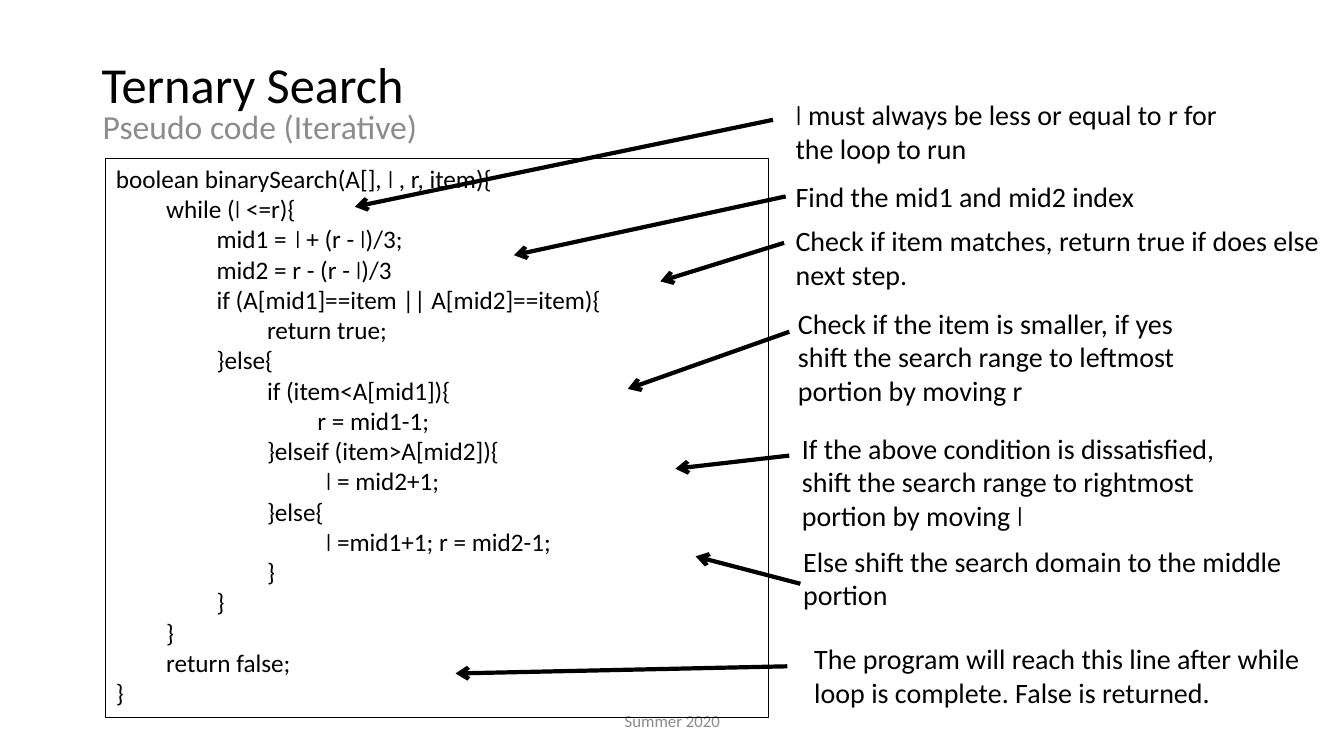
from dataclasses import dataclass

from lxml.etree import SubElement
from pptx import Presentation
from pptx.dml.color import RGBColor
from pptx.enum.shapes import MSO_CONNECTOR as Connector, MSO_SHAPE as Shape
from pptx.enum.text import MSO_ANCHOR as Anchor, MSO_AUTO_SIZE as AutoSize, PP_ALIGN as Align
from pptx.oxml.ns import qn
from pptx.util import Cm, Pt


@dataclass(frozen=True)
class Theme:
    ink: RGBColor = RGBColor(0x00, 0x00, 0x00)
    muted: RGBColor = RGBColor(0x8C, 0x8C, 0x8C)
    font: str = "Calibri"
    symbol_font: str = "Comic Neue"
    title: int = 36
    subtitle: int = 24
    note: int = 20
    code: int = 18
    footer: int = 12
    frame: float = 0.75
    arrow: float = 3


@dataclass(frozen=True)
class Box:
    """A region in centimetres."""
    left: float
    top: float
    width: float
    height: float

    def inner(self, dx, dy, width, height):
        return Box(self.left + dx, self.top + dy, width, height)

    def point(self, dx, dy):
        return Cm(self.left + dx), Cm(self.top + dy)

    def lengths(self):
        return [Cm(n) for n in (self.left, self.top, self.width, self.height)]


THEME = Theme()

# Text between backticks is set in the symbol font.
CODE = [
    (0, "boolean binarySearch(A[], `l` , r, item){"),
    (1, "while (`l` <=r){"),
    (2, "mid1 =` l` + (r - `l`)/3;"),
    (2, "mid2 = r - (r - `l`)/3"),
    (2, "if (A[mid1]==item || A[mid2]==item){"),
    (3, "return true;"),
    (2, "}else{"),
    (3, "if (item<A[mid1]){"),
    (4, "r = mid1-1;"),
    (3, "}elseif (item>A[mid2]){"),
    (4, "` l` = mid2+1;"),
    (3, "}else{"),
    (4, "` l` =mid1+1; r = mid2-1;"),
    (3, "}"),
    (2, "}"),
    (1, "}"),
    (1, "return false;"),
    (0, "}"),
]

# Paragraphs, wrapping, place, arrow start and arrow tip, from the column's corner.
NOTES = [
    (["`l` must always be less or equal to r for the loop to run"], True,
     (0, 0.04, 11.79, 1.96), (-0.32, 0.72), (-10.86, 2.91)),
    (["Find the mid1 and mid2 index"], True,
     (0, 2.09, 11.96, 1.12), (0, 2.65), (-6.85, 4.13)),
    (["Check if item matches, return true if does else next step."], True,
     (0, 3.21, 13.82, 1.96), (-0.04, 3.82), (-3.16, 4.79)),
    (["Check if the item is smaller, if yes shift the search range to leftmost "
      "portion by moving r"], True,
     (0.06, 5.29, 10.03, 2.82), (0.09, 6.06), (-3.98, 7.5)),
    (["If the above condition is dissatisfied, shift the search range to rightmost "
      "portion by moving `l`"], True,
     (0.16, 8.44, 12.12, 2.82), (0.09, 9.18), (-2.78, 9.51)),
    (["Else shift the search domain to the middle", "portion"], False,
     (0.19, 11.29, 12.7, 1.96), (0.37, 12.41), (-2.27, 11.72)),
    (["The program will reach this line after while \nloop is complete. False is returned."], False,
     (0.47, 13.75, 13.03, 1.96), (0.04, 14.49), (-8.32, 14.67)),
]


def write(frame, paragraphs, size, color=THEME.ink, **paragraph_format):
    """Fill a text frame, switching font at backticks and breaking lines at newlines."""
    for index, text in enumerate(paragraphs):
        paragraph = frame.add_paragraph() if index else frame.paragraphs[0]
        for name, value in paragraph_format.items():
            setattr(paragraph, name, value)
        for position, piece in enumerate(text.split("`")):
            for row, words in enumerate(piece.split("\n")):
                if row:
                    paragraph.add_line_break()
                if not words:
                    continue
                run = paragraph.add_run()
                run.text = words
                run.font.name = THEME.symbol_font if position % 2 else THEME.font
                run.font.size = Pt(size)
                run.font.color.rgb = color


def add_text(slide, box, paragraphs, size, color=THEME.ink, anchor=Anchor.TOP,
             wrap=True, **paragraph_format):
    frame = slide.shapes.add_textbox(*box.lengths()).text_frame
    frame.word_wrap = wrap
    frame.vertical_anchor = anchor
    write(frame, paragraphs, size, color, **paragraph_format)
    return frame


def add_arrow(slide, start, tip):
    arrow = slide.shapes.add_connector(Connector.STRAIGHT, *start, *tip)
    arrow.line.color.rgb = THEME.ink
    arrow.line.width = Pt(THEME.arrow)
    properties = arrow._element.spPr
    SubElement(properties.find(qn("a:ln")), qn("a:tailEnd"), type="arrow")
    SubElement(properties, qn("a:effectLst"))


def add_heading(slide, box):
    add_text(slide, box.inner(0, 0, box.width, 2.21), ["Ternary Search"], THEME.title,
             anchor=Anchor.BOTTOM, line_spacing=0.9)
    add_text(slide, box.inner(0.03, 1.86, box.width, 1.57), ["Pseudo code (Iterative)"],
             THEME.subtitle, THEME.muted, line_spacing=0.9, space_before=Pt(10))


def add_code(slide, box):
    panel = slide.shapes.add_shape(Shape.RECTANGLE, *box.lengths())
    panel.shadow.inherit = False
    panel.fill.background()
    panel.line.color.rgb = THEME.ink
    panel.line.width = Pt(THEME.frame)
    frame = panel.text_frame
    frame.word_wrap = False
    frame.auto_size = AutoSize.SHAPE_TO_FIT_TEXT
    frame.vertical_anchor = Anchor.TOP
    write(frame, ["\t" * depth + code for depth, code in CODE], THEME.code, alignment=Align.LEFT)


def add_notes(slide, column):
    for paragraphs, wrap, place, start, tip in NOTES:
        add_arrow(slide, column.point(*start), column.point(*tip))
        note = add_text(slide, column.inner(*place), paragraphs, THEME.note, wrap=wrap)
        note.auto_size = AutoSize.SHAPE_TO_FIT_TEXT


def add_footer(slide, box):
    add_text(slide, box, ["Summer 2020"], THEME.footer, THEME.muted,
             anchor=Anchor.MIDDLE, alignment=Align.CENTER)


def main():
    deck = Presentation()
    deck.slide_width, deck.slide_height = Cm(33.87), Cm(19.05)
    slide = deck.slides.add_slide(deck.slide_layouts[6])
    add_heading(slide, Box(2.31, 0.81, 29.21, 3.43))
    add_footer(slide, Box(11.23, 17.65, 11.43, 1.02))
    add_code(slide, Box(2.67, 3.99, 16.71, 14.1))
    add_notes(slide, Box(19.8, 2.3, 13.82, 15.71))
    deck.save("out.pptx")


if __name__ == "__main__":
    main()
